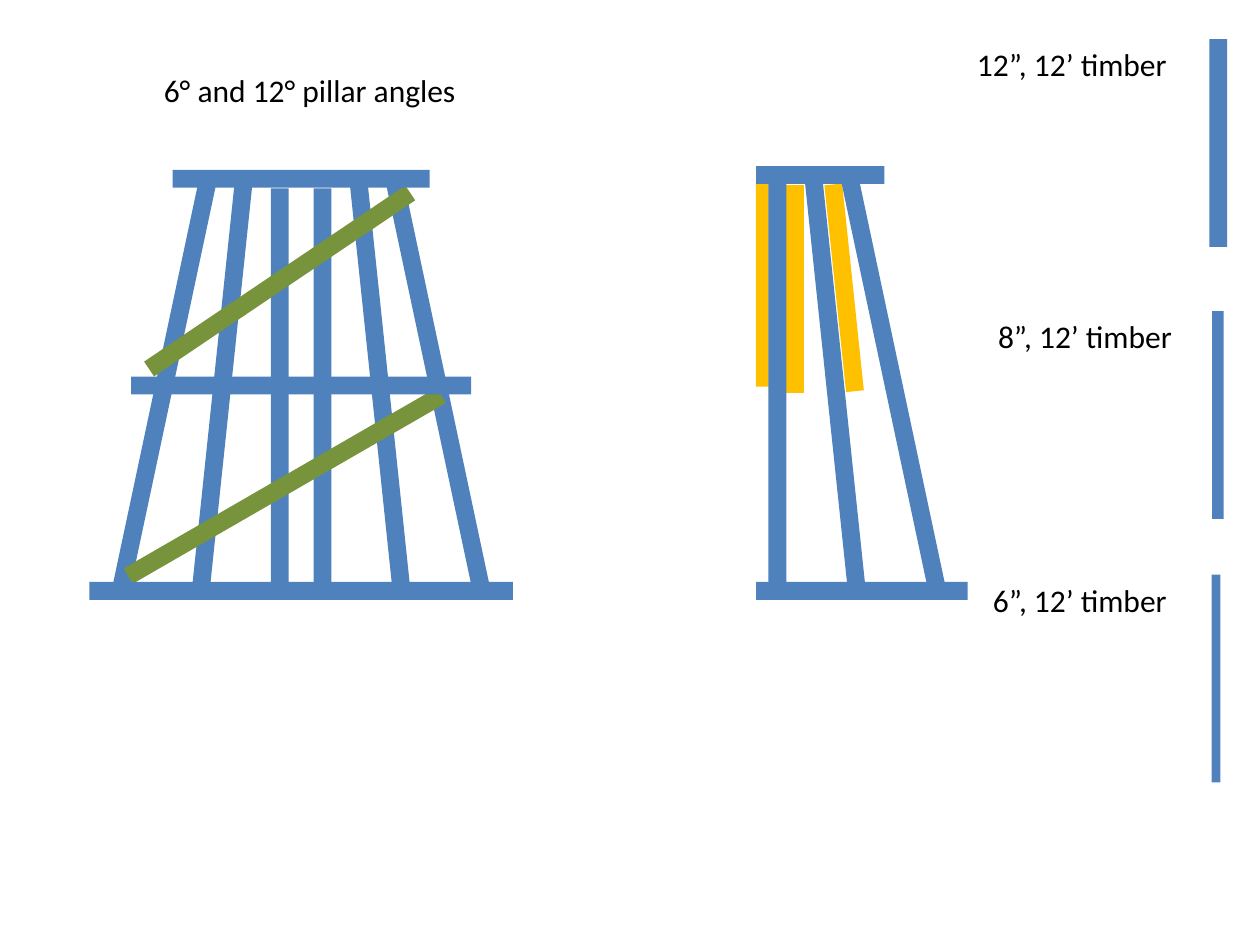
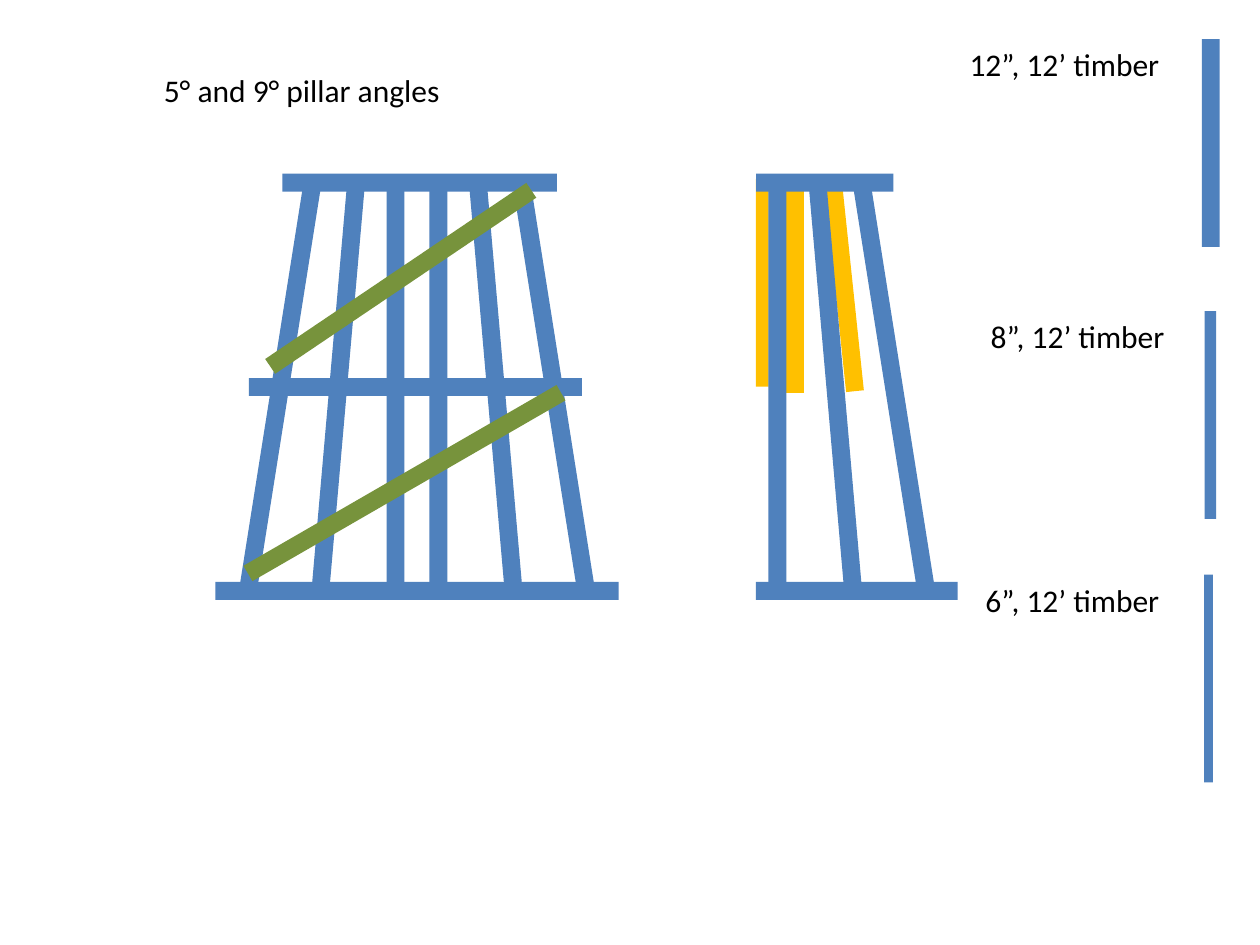
from dataclasses import dataclass

from pptx import Presentation
from pptx.dml.color import RGBColor
from pptx.enum import shapes, text
from pptx.util import Pt

BLUE, GREEN, YELLOW, BLACK = "4F81BD", "77933C", "FFC000", "000000"
FONT = "Calibri"
THICK = 10.2
SIDE_LEFT = 432
SIDE_MIDDLE = 219.2
BASE_Y = 337.7
PILLARS = [(12.24, 228.2), (45.2, 237.6), (78.5, 240.5)]
PLATFORMS = [(435.6, 161.6, 7.2, 118.8, 0),
             (454.3, 165.2, THICK, 118.8, 0),
             (482.4, 164.5, THICK, 118.8, -6)]
GAUGES = [("12”, 12’ timber", 519.8, 673.9, 22.3, 696.2, THICK),
          ("8”, 12’ timber", 522.7, 676.8, 177.8, 695.9, 6.6),
          ("6”, 12’ timber", 519.8, 673.9, 328.3, 694.9, 5.1)]


@dataclass
class Tower:
    title: str
    angles: tuple
    axis: float
    front_middle: float
    side_top: float
    front_top: float
    top_axis: float
    top_half: float
    base_half: float
    waist_y: float
    waist: list
    braces: list
    gauge_shift: float
    braces_in_front: bool


TOWERS = [
    Tower("6° and 12° pillar angles", (0, 6, 12), 172.1, 221.7, 100.1, 102.2,
          172.1, 73.4, 121, 220.3, [(74.9, 194.4)],
          [(159.8, 160.6, 180, 56), (162.7, 277.6, 206.6, 60)], 0, False),
    Tower("5° and 9° pillar angles", (0, 5, 9), 238.3, 223.2, 104.4, 104.4,
          239.8, 78.5, 115.2, 221.2, [(237.6, 95), (142.2, 97.2)],
          [(229, 159.1, 180, 56), (231.1, 276.1, 206.6, 60)], -4.3, True),
]


def rgb(value):
    return RGBColor.from_string(value)


def add_timber(parent, x, y, width, height, angle=0, color=BLUE):
    timber = parent.shapes.add_shape(
        shapes.MSO_SHAPE.RECTANGLE, Pt(x - width / 2), Pt(y - height / 2),
        Pt(width), Pt(height))
    timber.rotation = angle % 360
    timber.shadow.inherit = False
    timber.fill.solid()
    timber.fill.fore_color.rgb = rgb(color)
    timber.line.fill.background()


def add_beam(parent, left, y, width):
    add_timber(parent, left + width / 2, y, width, THICK)


def style_text(box, wording, align):
    frame = box.text_frame
    frame.word_wrap = True
    frame.auto_size = text.MSO_AUTO_SIZE.NONE
    frame.vertical_anchor = text.MSO_ANCHOR.TOP
    frame.text = wording
    paragraph = frame.paragraphs[0]
    paragraph.alignment = align
    paragraph.font.name = FONT
    paragraph.font.size = Pt(18)
    paragraph.font.color.rgb = rgb(BLACK)


def add_title(slide, wording):
    title = slide.shapes.title
    title.left, title.top = Pt(86.4), Pt(36.8)
    title.width, title.height = Pt(267.8), Pt(29.5)
    style_text(title, wording, text.PP_ALIGN.LEFT)


def add_gauges(slide, shift):
    group = slide.shapes.add_group_shape()
    for wording, left, right, top, x, width in GAUGES:
        label = group.shapes.add_textbox(
            Pt(left), Pt(top), Pt(right + shift - left), Pt(29))
        style_text(label, wording, text.PP_ALIGN.RIGHT)
        add_timber(group, x + shift, top + 59.4, width, 118.8)


def add_pillars(slide, axis, middle, angles, sides):
    for side in sides:
        for (offset, length), angle in zip(PILLARS, angles):
            add_timber(slide, axis + side * offset, middle, THICK, length,
                       -side * angle)


def add_beams(slide, tower):
    waist = slide.shapes.add_group_shape() if len(tower.waist) > 1 else slide
    for left, width in tower.waist:
        add_beam(waist, left, tower.waist_y, width)
    add_beam(slide, SIDE_LEFT, tower.side_top, tower.top_half)
    add_beam(slide, tower.top_axis - tower.top_half, tower.front_top,
             2 * tower.top_half)
    add_beam(slide, SIDE_LEFT, BASE_Y, tower.base_half)
    add_beam(slide, tower.axis - tower.base_half, BASE_Y, 2 * tower.base_half)


def add_braces(slide, tower):
    for x, y, length, angle in tower.braces:
        add_timber(slide, x, y, THICK, length, angle, GREEN)


def add_tower(slide, tower):
    add_title(slide, tower.title)
    for platform in PLATFORMS:
        add_timber(slide, *platform, color=YELLOW)
    add_pillars(slide, SIDE_LEFT, SIDE_MIDDLE, tower.angles, [1])
    add_pillars(slide, tower.axis, tower.front_middle, tower.angles, [1, -1])
    add_gauges(slide, tower.gauge_shift)
    layers = [add_braces, add_beams]
    if tower.braces_in_front:
        layers.reverse()
    for add_layer in layers:
        add_layer(slide, tower)


def main():
    deck = Presentation()
    deck.slide_width, deck.slide_height = Pt(720), Pt(540)
    for tower in TOWERS:
        add_tower(deck.slides.add_slide(deck.slide_layouts[5]), tower)
    deck.save("out.pptx")


if __name__ == "__main__":
    main()
